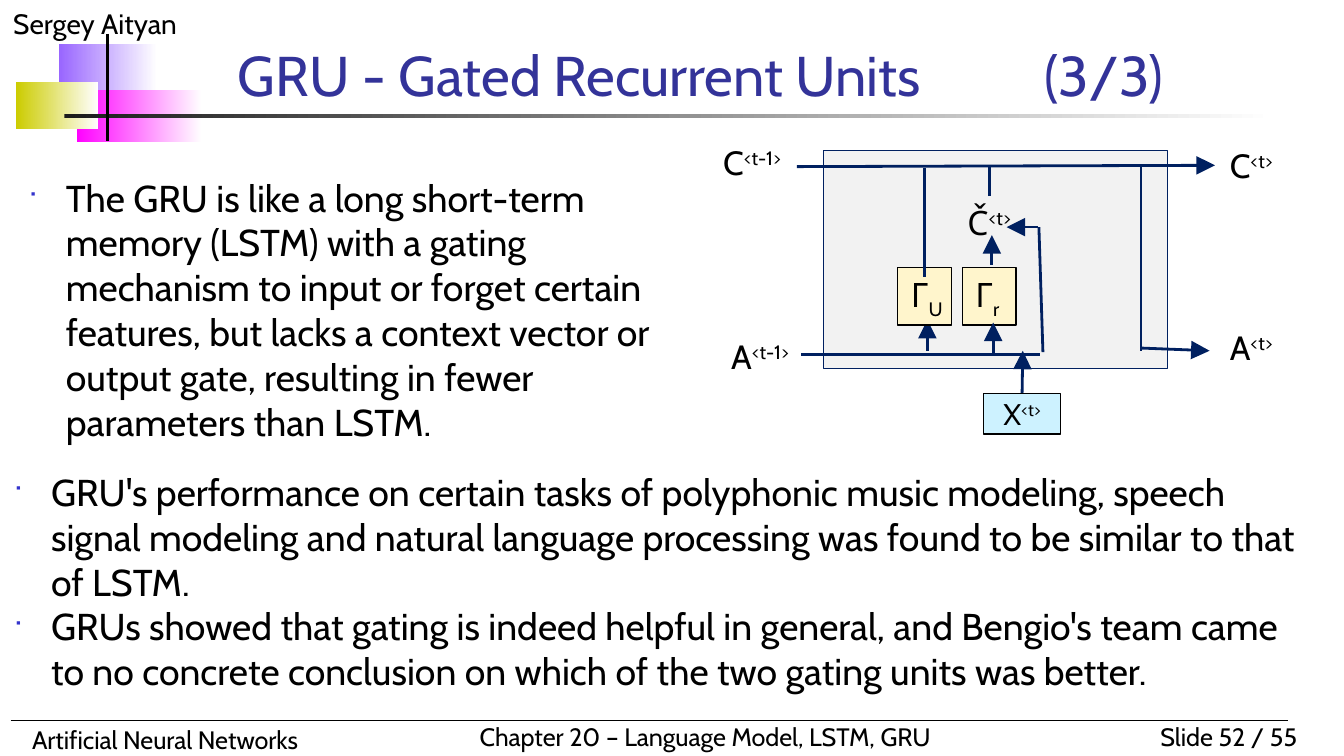
from typing import NamedTuple

from lxml.etree import SubElement
from pptx import Presentation
from pptx.dml.color import RGBColor
from pptx.enum.shapes import MSO_CONNECTOR, MSO_SHAPE
from pptx.enum.text import MSO_ANCHOR as Anchor, MSO_AUTO_SIZE, PP_ALIGN as Align
from pptx.oxml.ns import qn
from pptx.util import Pt

PX = 9144
SLIDE_WIDTH = 1000 * PX
SLIDE_HEIGHT = SLIDE_WIDTH * 9 // 16
FONT = "Cabin"
COLORS = {
    "white": "FFFFFF", "black": "000000", "violet": "9966FF", "magenta": "FF00FF",
    "olive": "CCCC00", "rule": "1C1C1C", "title": "333399", "bullet": "3333CC",
    "navy": "002060", "panel": "F2F2F2", "gate": "FFF5CC", "input": "CDF2FF",
}


class Box(NamedTuple):
    left: int
    top: int
    width: int
    height: int


class Caption(NamedTuple):
    text: str
    box: Box
    size: float
    align: Align = Align.LEFT


class Symbol(NamedTuple):
    base: str
    script: str
    box: Box
    size: int = 18


class Wire(NamedTuple):
    start: tuple[int, int]
    end: tuple[int, int]
    arrow: bool = False
    color: str = "navy"
    weight: float = 1.5


BANDS = [
    ("violet", Box(44, 33, 73, 39)),
    ("magenta", Box(57, 67, 93, 39)),
    ("olive", Box(12, 61, 61, 35)),
    ("rule", Box(48, 85, 900, 3)),
]
CAPTIONS = [
    Caption("Sergey Aityan", Box(0, 0, 250, 35), 15),
    Caption("Slide 52 / 55", Box(825, 532, 150, 33), 13.5, Align.RIGHT),
    Caption("Artificial Neural Networks", Box(14, 534, 370, 33), 13.5),
    Caption("Chapter 20 – Language Model, LSTM, GRU", Box(347, 532, 378, 33), 13.5),
]
FRAME_LINES = [
    Wire((8, 536), (958, 536), color="black", weight=0.75),
    Wire((80, 25), (80, 105), color="black", weight=2),
]
BODIES = [
    (Box(11, 125, 502, 146), [
        "The GRU is like a long short-term memory (LSTM) with a gating mechanism to input or "
        "forget certain features, but lacks a context vector or output gate, resulting in "
        "fewer parameters than LSTM.",
    ]),
    (Box(0, 344, 992, 122), [
        "GRU's performance on certain tasks of polyphonic music modeling, speech signal "
        "modeling and natural language processing was found to be similar to that of LSTM.",
        "GRUs showed that gating is indeed helpful in general, and Bengio's team came to no "
        "concrete conclusion on which of the two gating units was better.",
    ]),
]
GATES = [Symbol("Γ", "U", Box(668, 199, 40, 43)), Symbol("Γ", "r", Box(716, 199, 40, 43))]
INPUT = Symbol("X", "<t>", Box(732, 293, 57, 30), 16)
STATES = [
    Symbol("Č", "<t>", Box(709, 150, 54, 30)),
    Symbol("C", "<t>", Box(904, 108, 54, 30)),
    Symbol("C", "<t-1>", Box(525, 106, 69, 30)),
    Symbol("A", "<t>", Box(904, 243, 54, 30)),
    Symbol("A", "<t-1>", Box(531, 250, 69, 30)),
]
INPUT_WIRE = Wire((760, 293), (761, 261), True)
BACK_WIRES = [
    Wire((849, 259), (900, 261), True),
    Wire((593, 124), (904, 123), True),
    Wire((690, 261), (690, 238), True),
    Wire((849, 124), (849, 261)),
]
FRONT_WIRES = [
    Wire((739, 263), (739, 240), True),
    Wire((596, 264), (774, 264)),
    Wire((738, 197), (738, 175), True),
    Wire((736, 146), (736, 124)),
    Wire((773, 169), (776, 262)),
    Wire((772, 169), (749, 169), True),
    Wire((688, 206), (688, 125)),
]


def rgb(name: str) -> RGBColor:
    return RGBColor.from_string(COLORS[name])


def emu(box: Box) -> list[int]:
    return [length * PX for length in box]


def place(shape, box: Box) -> None:
    shape.left, shape.top, shape.width, shape.height = emu(box)


def style(paragraph, size: float, color: str = "black", align: Align = Align.LEFT) -> None:
    paragraph.alignment = align
    paragraph.space_before = Pt(0)
    for run in paragraph.runs:
        run.font.name = FONT
        run.font.size = Pt(size)
        run.font.color.rgb = rgb(color)


def add_band(slide, color: str, box: Box) -> None:
    shape = slide.shapes.add_shape(MSO_SHAPE.RECTANGLE, *emu(box))
    shape.shadow.inherit = False
    shape.line.fill.background()
    shape.fill.gradient()
    shape.fill.gradient_angle = 0
    for stop, name in zip(shape.fill.gradient_stops, (color, "white")):
        stop.color.rgb = rgb(name)


def add_block(slide, box: Box, fill: str, line: str):
    shape = slide.shapes.add_shape(MSO_SHAPE.RECTANGLE, *emu(box))
    shape.shadow.inherit = False
    shape.fill.solid()
    shape.fill.fore_color.rgb = rgb(fill)
    shape.line.color.rgb = rgb(line)
    shape.line.width = Pt(0.75)
    return shape


def add_caption(slide, caption: Caption) -> None:
    frame = slide.shapes.add_textbox(*emu(caption.box)).text_frame
    frame.word_wrap = True
    frame.text = caption.text
    style(frame.paragraphs[0], caption.size, align=caption.align)


def write_symbol(shape, symbol: Symbol, baseline: int, align: Align) -> None:
    paragraph = shape.text_frame.paragraphs[0]
    for text in (symbol.base, symbol.script):
        paragraph.add_run().text = text
    style(paragraph, symbol.size, align=align)
    paragraph.runs[1].font._element.set("baseline", str(baseline * 1000))


def clear_margins(frame) -> None:
    frame.margin_left = frame.margin_top = frame.margin_right = frame.margin_bottom = 0


def add_wire(slide, wire: Wire):
    points = [length * PX for length in wire.start + wire.end]
    connector = slide.shapes.add_connector(MSO_CONNECTOR.STRAIGHT, *points)
    connector.line.color.rgb = rgb(wire.color)
    connector.line.width = Pt(wire.weight)
    if wire.arrow:
        line = connector.line._get_or_add_ln()
        SubElement(line, qn("a:tailEnd"), type="triangle", w="lg", len="lg")
    SubElement(connector._element.spPr, qn("a:effectLst"))
    return connector


def add_bullet(paragraph) -> None:
    properties = paragraph._p.get_or_add_pPr()
    properties.set("marL", str(28 * PX))
    properties.set("indent", str(-28 * PX))
    color = SubElement(properties, qn("a:buClr"))
    SubElement(color, qn("a:srgbClr"), val=COLORS["bullet"])
    SubElement(properties, qn("a:buSzPct"), val="60000")
    SubElement(properties, qn("a:buFont"), typeface="Wingdings")
    SubElement(properties, qn("a:buChar"), char="■")


def fill_title(shape) -> None:
    place(shape, Box(167, 31, 733, 54))
    frame = shape.text_frame
    frame.text = "GRU - Gated Recurrent Units \t(3/3)"
    frame.auto_size = MSO_AUTO_SIZE.NONE
    frame.vertical_anchor = Anchor.BOTTOM
    style(frame.paragraphs[0], 30, "title")
    frame.paragraphs[0]._p.get_or_add_pPr().set("defTabSz", str(100 * PX))


def fill_body(shape, box: Box, items: list[str]) -> None:
    place(shape, box)
    frame = shape.text_frame
    frame.text = "\n".join(items)
    frame.auto_size = MSO_AUTO_SIZE.NONE
    for paragraph in frame.paragraphs:
        style(paragraph, 20)
        add_bullet(paragraph)


def draw_diagram(slide) -> None:
    add_block(slide, Box(613, 112, 256, 162), "panel", "navy")
    for wire in BACK_WIRES:
        add_wire(slide, wire)
    input_wire = add_wire(slide, INPUT_WIRE)
    block = add_block(slide, INPUT.box, "input", "black")
    block.text_frame.word_wrap = False
    block.text_frame.vertical_anchor = Anchor.MIDDLE
    clear_margins(block.text_frame)
    write_symbol(block, INPUT, 30, Align.CENTER)
    input_wire.begin_connect(block, 0)
    for gate in GATES:
        block = add_block(slide, gate.box, "gate", "black")
        block.text_frame.word_wrap = False
        block.text_frame.vertical_anchor = Anchor.TOP
        write_symbol(block, gate, -25, Align.LEFT)
    for state in STATES:
        label = slide.shapes.add_textbox(*emu(state.box))
        label.text_frame.word_wrap = True
        clear_margins(label.text_frame)
        write_symbol(label, state, 30, Align.CENTER)
    for wire in FRONT_WIRES:
        add_wire(slide, wire)


def main() -> None:
    presentation = Presentation()
    presentation.slide_width, presentation.slide_height = SLIDE_WIDTH, SLIDE_HEIGHT
    slide = presentation.slides.add_slide(presentation.slide_layouts[3])
    title, *bodies = slide.placeholders
    for color, box in BANDS:
        add_band(slide, color, box)
    for caption in CAPTIONS:
        add_caption(slide, caption)
    for wire in FRAME_LINES:
        add_wire(slide, wire)
    fill_title(title)
    for shape, (box, items) in zip(bodies, BODIES):
        fill_body(shape, box, items)
    draw_diagram(slide)
    presentation.save("out.pptx")


if __name__ == "__main__":
    main()
